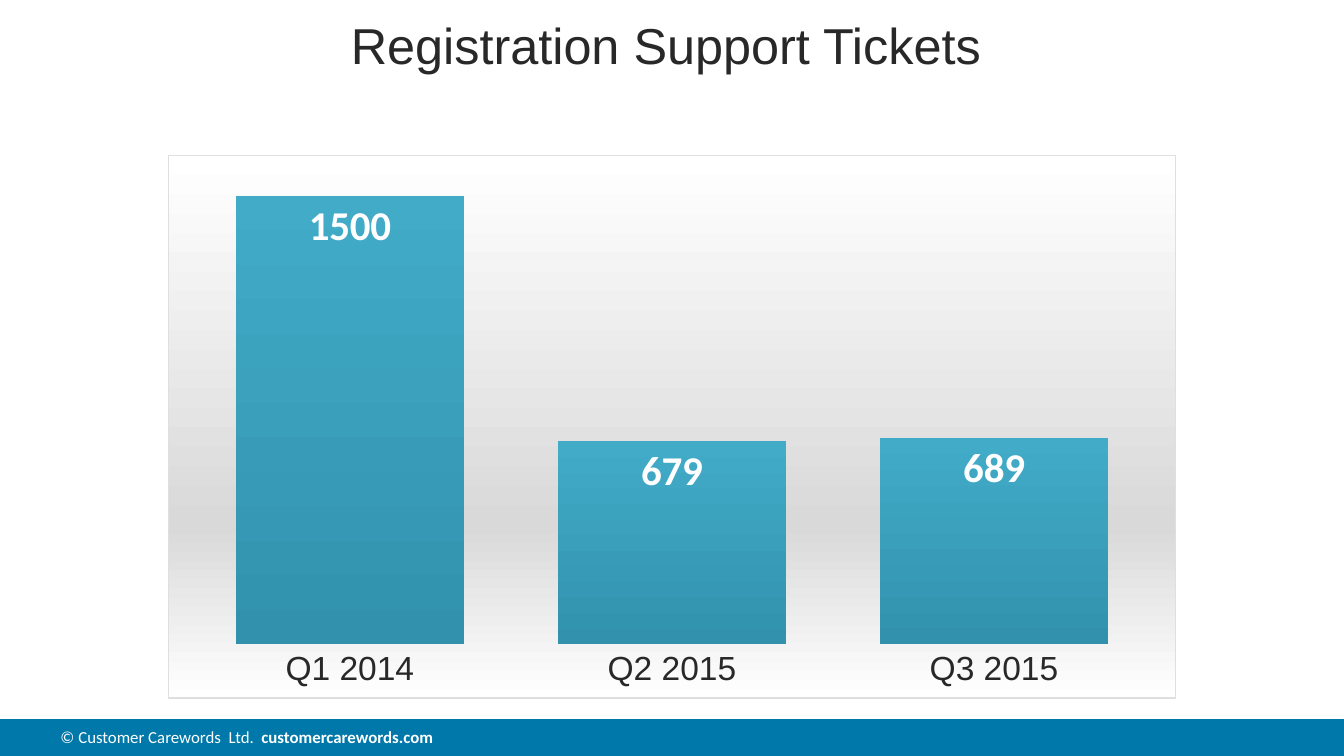
from lxml.etree import fromstring
from pptx import Presentation
from pptx.chart.data import CategoryChartData
from pptx.dml.color import RGBColor
from pptx.enum.chart import XL_CHART_TYPE, XL_LABEL_POSITION, XL_TICK_MARK
from pptx.enum.shapes import MSO_SHAPE
from pptx.enum.text import MSO_ANCHOR, PP_ALIGN
from pptx.util import Pt

TITLE = "Registration Support Tickets"
NOTICE = "© Customer Carewords  Ltd.  "
SITE = "customercarewords.com"
TICKETS = {"Q1 2014": 1500, "Q2 2015": 679, "Q3 2015": 689}

WHITE = RGBColor(0xFF, 0xFF, 0xFF)
INK = RGBColor(0x28, 0x28, 0x28)
BLUE = RGBColor(0x00, 0x78, 0xA9)
TEAL = RGBColor(0x41, 0xAB, 0xC8)
DEEP = RGBColor(0x32, 0x92, 0xAD)
GREY = RGBColor(0xD9, 0xD9, 0xD9)
EDGE = RGBColor(0xDF, 0xDF, 0xDF)
PANEL = [(0, WHITE), (68, GREY), (100, WHITE)]

WIDE, HIGH = 720, 405
BAND = 19.7
SIDE, TOP, TALL = 90, 82.8, 291.6


def style(font, size, color=INK, name="Arial", bold=False):
    font.size, font.name, font.bold = Pt(size), name, bold
    font.color.rgb = color


def write(para, text, **look):
    run = para.add_run()
    run.text = text
    style(run.font, **look)


def place(shape, *box):
    shape.left, shape.top, shape.width, shape.height = map(Pt, box)


def panel(chart):
    stops = "".join(
        f'<a:gs pos="{pos * 1000}"><a:srgbClr val="{color}"/></a:gs>'
        for pos, color in PANEL)
    space = chart.element if hasattr(chart, "element") else chart._chartSpace
    node = fromstring(
        '<c:spPr xmlns:c="http://schemas.openxmlformats.org/drawingml/2006/chart"'
        ' xmlns:a="http://schemas.openxmlformats.org/drawingml/2006/main">'
        f'<a:gradFill><a:gsLst>{stops}</a:gsLst><a:lin ang="5400000" scaled="0"/></a:gradFill>'
        f'<a:ln w="{Pt(0.75)}"><a:solidFill><a:srgbClr val="{EDGE}"/></a:solidFill></a:ln>'
        '</c:spPr>')
    space.chart.addnext(node)


def add_bars(slide):
    data = CategoryChartData(number_format="0")
    data.categories = list(TICKETS)
    data.add_series("Series 1", list(TICKETS.values()))
    box = map(Pt, (SIDE, TOP, WIDE - 2 * SIDE, TALL))
    chart = slide.shapes.add_chart(XL_CHART_TYPE.COLUMN_CLUSTERED, *box, data).chart
    chart.has_legend = chart.has_title = False
    style(chart.font, 10, name="Calibri")
    panel(chart)

    axis = chart.category_axis
    axis.major_tick_mark = XL_TICK_MARK.NONE
    axis.format.line.fill.background()
    style(axis.tick_labels.font, 18)
    scale = chart.value_axis
    scale.visible = scale.has_major_gridlines = False
    scale.minimum_scale, scale.maximum_scale = 0, 1600

    plot = chart.plots[0]
    plot.gap_width, plot.vary_by_categories = 41, False
    bars = plot.series[0]
    fill = bars.format.fill
    fill.gradient()
    fill.gradient_angle = 270
    for stop, pos, color in zip(fill.gradient_stops, (0, 1), (TEAL, DEEP)):
        stop.position, stop.color.rgb = pos, color
    tags = bars.data_labels
    tags.show_value, tags.position = True, XL_LABEL_POSITION.INSIDE_END
    tags.number_format, tags.number_format_is_linked = "0", False
    style(tags.font, 22, WHITE, "Calibri", True)


def add_band(slide):
    band = slide.shapes.add_shape(
        MSO_SHAPE.RECTANGLE, 0, Pt(HIGH - BAND), Pt(WIDE), Pt(BAND))
    band.shadow.inherit = False
    band.fill.solid()
    band.fill.fore_color.rgb = BLUE
    band.line.fill.background()
    note = slide.shapes.add_textbox(*map(Pt, (32.4, 389.5, 400, 11)))
    frame = note.text_frame
    frame.word_wrap = True
    frame.margin_left = frame.margin_top = frame.margin_right = frame.margin_bottom = 0
    look = dict(size=9, color=WHITE, name="Calibri")
    write(frame.paragraphs[0], NOTICE, **look)
    write(frame.paragraphs[0], SITE, bold=True, **look)


def main():
    deck = Presentation()
    deck.slide_width, deck.slide_height = Pt(WIDE), Pt(HIGH)
    slide = deck.slides.add_slide(deck.slide_layouts[5])
    add_band(slide)
    add_bars(slide)
    title = slide.shapes.title
    place(title, 96.5, 3.6, 520.5, 40.3)
    title.text_frame.vertical_anchor = MSO_ANCHOR.MIDDLE
    para = title.text_frame.paragraphs[0]
    para.alignment = PP_ALIGN.CENTER
    write(para, TITLE, size=27)
    deck.save("out.pptx")


if __name__ == "__main__":
    main()
